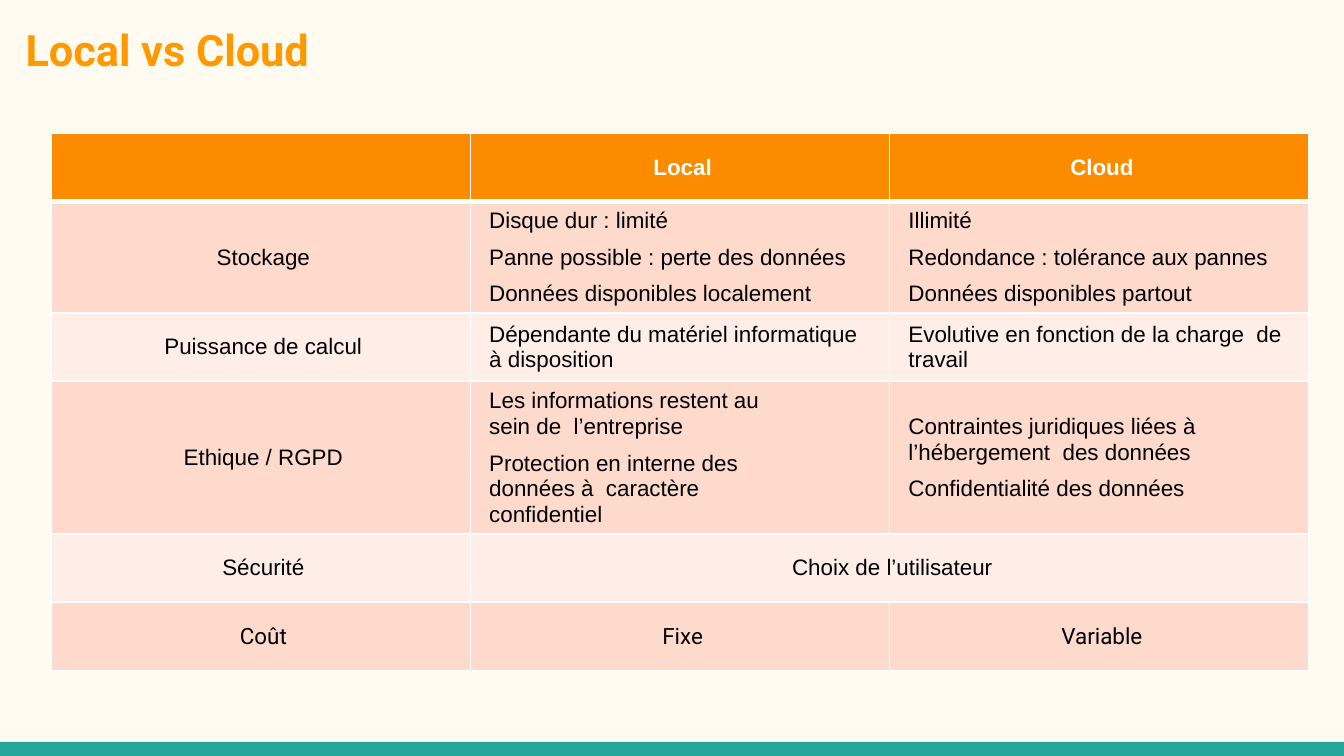
from lxml.etree import SubElement
from pptx import Presentation
from pptx.dml.color import RGBColor as Rgb
from pptx.enum.shapes import MSO_SHAPE as Shape
from pptx.enum.text import MSO_ANCHOR as Anchor, PP_ALIGN as Align
from pptx.oxml.ns import qn
from pptx.util import Inches, Pt

WIDTH = 10
HEIGHT = WIDTH * 9 / 16
COLORS = {
    "background": "FFFBF0", "footer": "26A69A", "title": "FF9900",
    "header": "FB8C00", "odd": "FDDACC", "even": "FEEEE7",
    "white": "FFFFFF", "black": "000000",
}
COLUMN_WIDTH = 3.12
ROW_HEIGHTS = [0.51, 0.82, 0.51, 1.13, 0.51, 0.51]
COMPARISON = [
    [[], ["Local"], ["Cloud"]],
    [["Stockage"],
     ["Disque dur : limité", "Panne possible : perte des données",
      "Données disponibles localement"],
     ["Illimité", "Redondance : tolérance aux pannes",
      "Données disponibles partout"]],
    [["Puissance de calcul"],
     ["Dépendante du matériel informatique à disposition"],
     ["Evolutive en fonction de la charge  de travail"]],
    [["Ethique / RGPD"],
     ["Les informations restent au sein de  l’entreprise",
      "Protection en interne des données à  caractère confidentiel"],
     ["Contraintes juridiques liées à l’hébergement  des données",
      "Confidentialité des données"]],
    [["Sécurité"], ["Choix de l’utilisateur"], []],
    [["Coût"], ["Fixe"], ["Variable"]],
]
ETHICS, SECURITY, COST = 3, 4, 5


def color(name):
    """Return the named palette colour."""
    return Rgb.from_string(COLORS[name])


def style(target, formats):
    """Set every attribute in formats on target."""
    for attribute, value in formats.items():
        setattr(target, attribute, value)


def paint(fill, name):
    """Apply a solid palette colour to a fill."""
    fill.solid()
    fill.fore_color.rgb = color(name)


def add_title(slide, wording):
    """Place and format the slide title."""
    title = slide.shapes.title
    style(title, {"left": Inches(0.09), "top": Inches(0.07),
                  "width": Inches(5.63), "height": Inches(0.63)})
    frame = title.text_frame
    style(frame, {"text": wording, "word_wrap": True,
                  "vertical_anchor": Anchor.TOP})
    style(frame, {f"margin_{side}": Inches(0.1)
                  for side in ("left", "top", "right", "bottom")})
    heading = frame.paragraphs[0]
    heading.alignment = Align.LEFT
    style(heading.font, {"name": "Roboto", "size": Pt(23.2), "bold": True})
    heading.font.color.rgb = color("title")


def add_footer(slide):
    """Draw the full-width strip along the bottom edge."""
    top = 5.52
    footer = slide.shapes.add_shape(
        Shape.RECTANGLE, 0, Inches(top), Inches(WIDTH), Inches(HEIGHT - top))
    footer.shadow.inherit = False
    paint(footer.fill, "footer")
    footer.line.fill.background()


def add_borders(cell, row):
    """Draw white cell borders, thick below the header."""
    properties = cell._tc.get_or_add_tcPr()
    points = {"L": 1, "R": 1, "T": 3 if row == 1 else 1,
              "B": 3 if row == 0 else 1}
    for side, weight in points.items():
        border = SubElement(properties, qn(f"a:ln{side}"), w=str(Pt(weight)))
        solid = SubElement(border, qn("a:solidFill"))
        SubElement(solid, qn("a:srgbClr"), val=COLORS["white"])


def fill_cell(cell, row, column, lines):
    """Write and format one cell of the comparison."""
    is_header = row == 0
    add_borders(cell, row)
    paint(cell.fill, "header" if is_header else "odd" if row % 2 else "even")
    cell.vertical_anchor = Anchor.MIDDLE
    if (row, column) == (ETHICS, 1):
        cell.margin_right = Inches(0.75)
    cell.text_frame.text = "\n".join(lines)
    centred = is_header or column == 0 or row >= SECURITY
    for line in cell.text_frame.paragraphs:
        style(line, {"alignment": Align.CENTER if centred else Align.LEFT,
                     "space_after": Pt(6)})
        if row == ETHICS and not centred:
            line.line_spacing = 1.02
        line._p.get_or_add_pPr().set("marL", str(Inches(0.04)))
        style(line.font, {"name": "Roboto" if row == COST else "Arial",
                          "size": Pt(12), "bold": is_header})
        line.font.color.rgb = color("white" if is_header else "black")


def add_comparison(slide):
    """Build the local and cloud comparison table."""
    columns = len(COMPARISON[0])
    table = slide.shapes.add_table(
        len(COMPARISON), columns, Inches(0.38), Inches(0.99),
        Inches(COLUMN_WIDTH * columns), Inches(sum(ROW_HEIGHTS))).table
    for column in table.columns:
        column.width = Inches(COLUMN_WIDTH)
    for row, height in zip(table.rows, ROW_HEIGHTS):
        row.height = Inches(height)
    for row, entries in enumerate(COMPARISON):
        for column, lines in enumerate(entries):
            fill_cell(table.cell(row, column), row, column, lines)
    table.cell(SECURITY, 1).merge(table.cell(SECURITY, 2))


def main():
    """Build and save the presentation."""
    deck = Presentation()
    style(deck, {"slide_width": Inches(WIDTH), "slide_height": Inches(HEIGHT)})
    slide = deck.slides.add_slide(deck.slide_layouts.get_by_name("Title Only"))
    paint(slide.background.fill, "background")
    add_footer(slide)
    add_title(slide, "Local vs Cloud")
    add_comparison(slide)
    deck.save("out.pptx")


if __name__ == "__main__":
    main()
